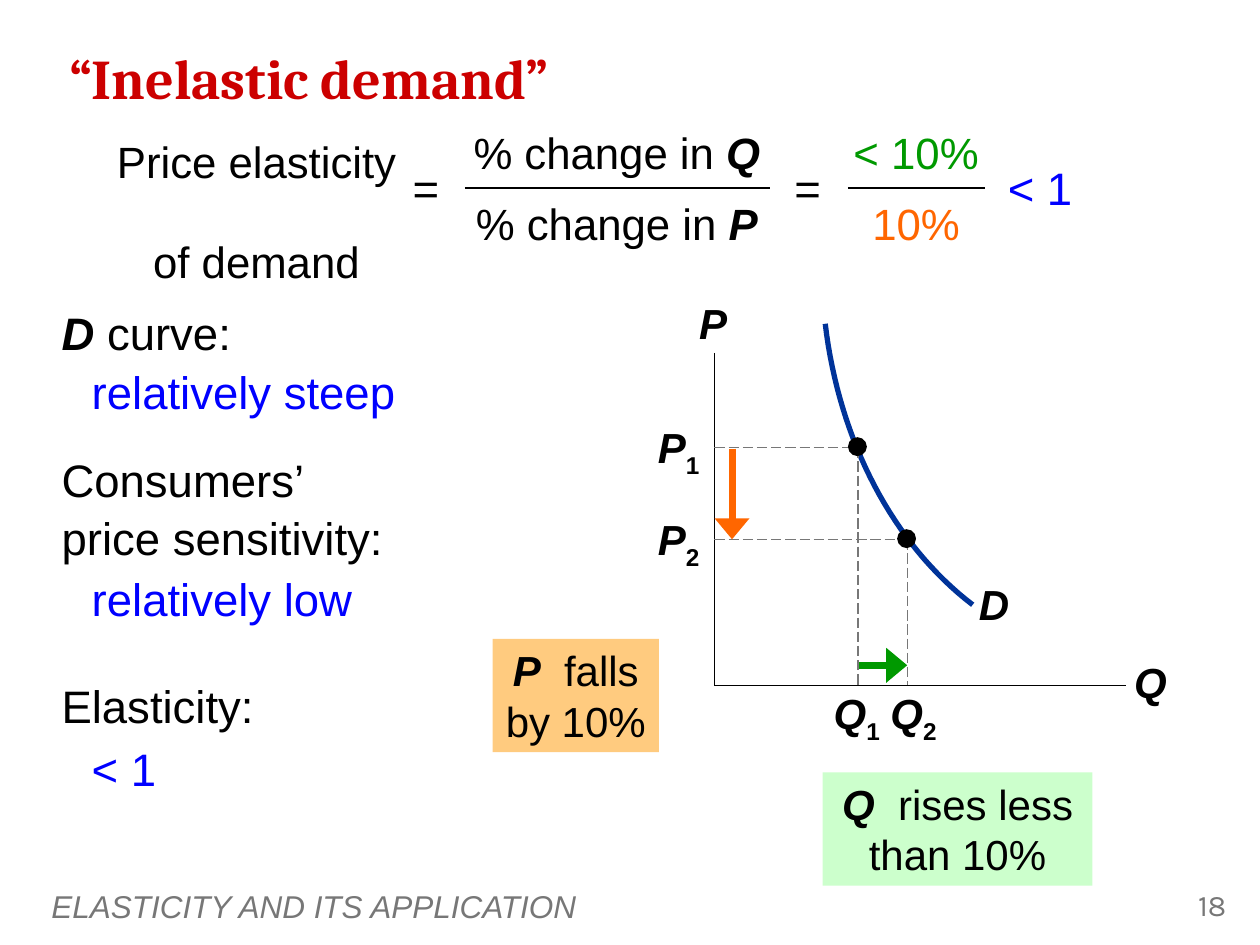
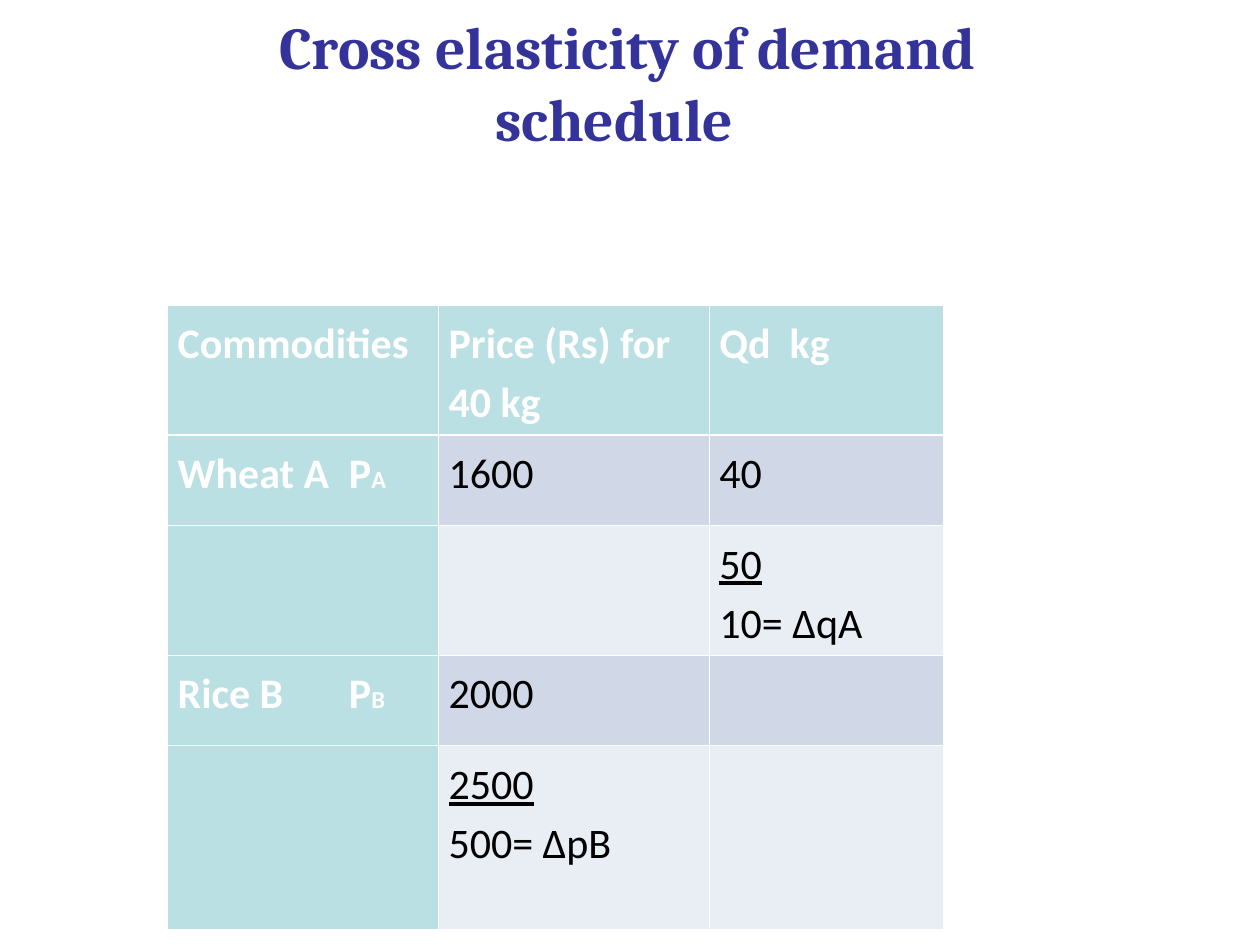
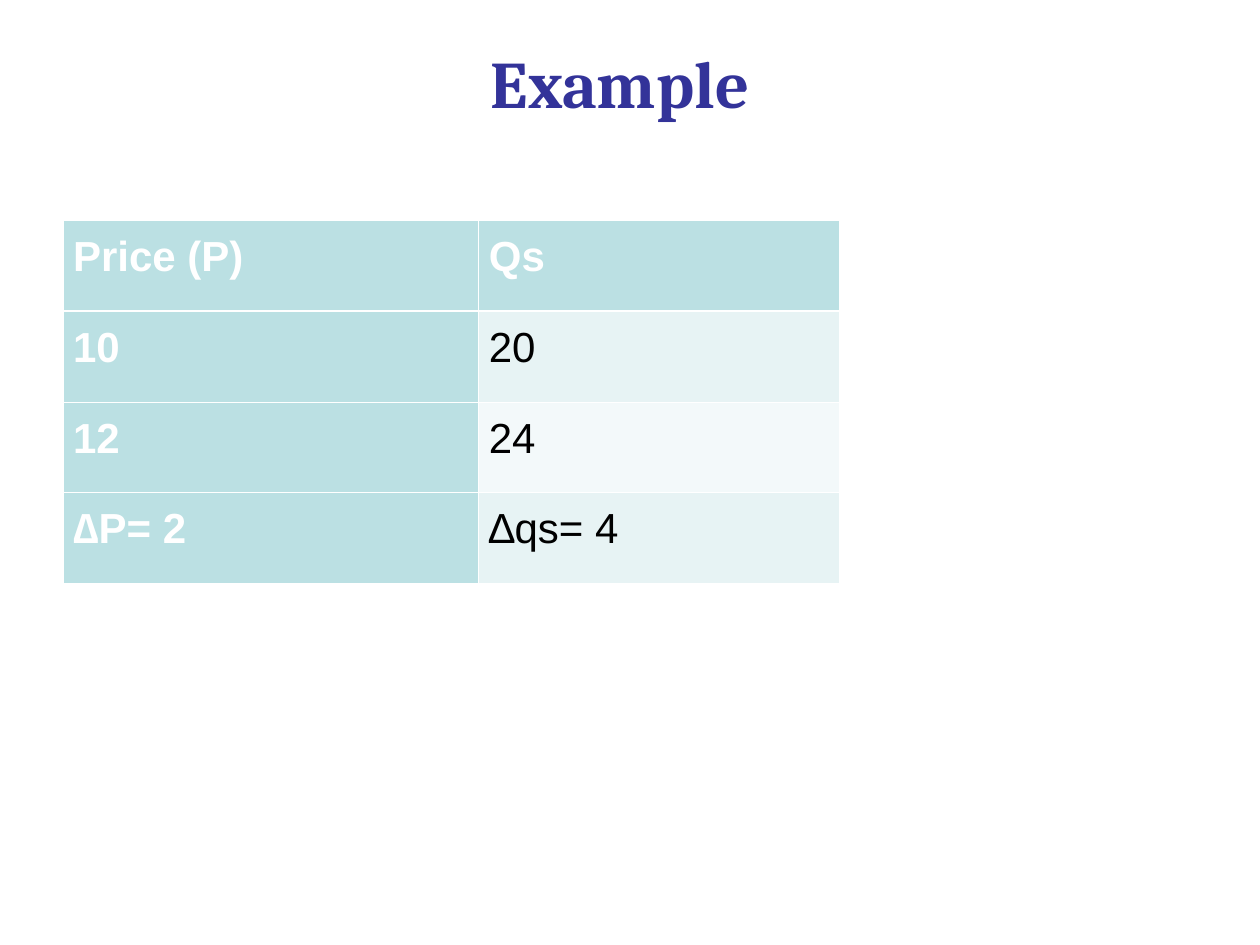
import pptx
import pptx.dml.color
import pptx.enum.dml
import pptx.enum.shapes
import pptx.enum.text
import pptx.oxml
import pptx.oxml.ns
import pptx.util

PX = 9144  # EMU per px, 100 px to the inch
COLORS = {
    "black": "000000", "white": "FFFFFF", "grey": "777777", "red": "CC0000",
    "indigo": "333399", "navy": "003399", "blue": "0000FF", "green": "009900",
    "orange": "FF6600", "amber": "FF9900", "mint": "CCFFCC", "teal": "BBE0E3",
    "lilac": "D0D8E8", "pale lilac": "E9EDF4",
    "pale teal": "E7F3F4", "ice": "F3F9FA",
}
ALIGN = pptx.enum.text.PP_ALIGN
ANCHOR = pptx.enum.text.MSO_ANCHOR
SHAPE = pptx.enum.shapes.MSO_SHAPE
SYMBOL = {"bold": True, "italic": True}
SUBSCRIPT = {"bold": True, "baseline": -25000}


def px(n):
    return pptx.util.Emu(round(n * PX))


def rgb(name):
    return pptx.dml.color.RGBColor.from_string(COLORS[name])


def add_xml(parent, tag, **attrs):
    el = pptx.oxml.parse_xml(f"<{tag} {pptx.oxml.ns.nsdecls('a')}/>")
    for key, value in attrs.items():
        el.set(key, str(value))
    parent.append(el)
    return el


def within(area, x, y, w, h):
    return area[0] + x, area[1] + y, w, h


def write(tf, paragraphs, size, color="black", font="Arial", align=ALIGN.LEFT,
          spacing=None, tab=None):
    """Fill a text frame; each paragraph is a string or a list of (text, format)."""
    for i, runs in enumerate(paragraphs):
        p = tf.add_paragraph() if i else tf.paragraphs[0]
        p.alignment, p.line_spacing = align, spacing
        if tab:
            tabs = add_xml(p._p.get_or_add_pPr(), "a:tabLst")
            add_xml(tabs, "a:tab", pos=px(tab), algn="l")
        for text, fmt in [(runs, {})] if isinstance(runs, str) else runs:
            for j, line in enumerate(text.split("\n")):
                if j:
                    p.add_line_break()
                    add_xml(p._p[-1], "a:rPr", sz=size * 100)
                r = p.add_run()
                r.text = line
                values = {"name": font, "size": size, "bold": False,
                          "italic": False, **fmt}
                values["size"] = pptx.util.Pt(values["size"])
                baseline = values.pop("baseline", None)
                for key, value in values.items():
                    setattr(r.font, key, value)
                r.font.color.rgb = rgb(color)
                if baseline:
                    r._r.get_or_add_rPr().set("baseline", str(baseline))


def add_text(s, box, runs, size, anchor=ANCHOR.TOP, **style):
    tf = s.shapes.add_textbox(*map(px, box)).text_frame
    tf.word_wrap = True
    tf.vertical_anchor = anchor
    write(tf, [runs], size, **style)


def add_filled(s, kind, box, color):
    sp = s.shapes.add_shape(kind, *map(px, box))
    sp.shadow.inherit = False
    sp.fill.solid()
    sp.fill.fore_color.rgb = rgb(color)
    sp.line.fill.background()
    return sp


def add_line(s, area, start, end, color="black", width=1, dash=False, arrow=False):
    x, y = area[:2]
    ends = (x + start[0], y + start[1], x + end[0], y + end[1])
    cn = s.shapes.add_connector(pptx.enum.shapes.MSO_CONNECTOR.STRAIGHT, *map(px, ends))
    cn.line.color.rgb = rgb(color)
    cn.line.width = pptx.util.Pt(width)
    if dash:
        cn.line.dash_style = pptx.enum.dml.MSO_LINE.LONG_DASH
    if arrow:
        add_xml(cn.line._get_or_add_ln(), "a:tailEnd", type="triangle", w="lg", len="med")
    add_xml(cn._element.spPr, "a:effectLst")


def add_title(s, box, text, size, color="indigo", align=ALIGN.CENTER):
    add_text(s, box, [(text, {"bold": True})], size, ANCHOR.MIDDLE,
             color=color, font="Cambria", align=align)


def add_footer(s, area, text, number):
    add_text(s, within(area, 0, 0, 802, 40), [(text, {"italic": True})], 18,
             ANCHOR.MIDDLE, color="grey")
    add_text(s, within(area, 877, 0, 75, 40), number, 17, color="grey",
             font="Karla", align=ALIGN.RIGHT)


def add_fraction(s, box, top, bottom, colors):
    x, y, w, h = box
    for runs, dy, color in zip((top, bottom), (0, 56), colors):
        add_text(s, (x, y + dy, w, 52), runs, 25, color=color, align=ALIGN.CENTER)
    add_line(s, box, (10, h / 2), (w - 9, h / 2))


def add_equation(s, area):
    add_text(s, within(area, 0, 10, 249, 129), "Price elasticity \nof demand", 25,
             align=ALIGN.CENTER, spacing=0.95)
    add_fraction(s, within(area, 280, 0, 261, 108),
                 [("% change in ", {}), ("Q", SYMBOL)],
                 [("% change in ", {}), ("P", SYMBOL)], ("black", "black"))
    add_fraction(s, within(area, 584, 0, 128, 108), "< 10%", "10%", ("green", "orange"))
    for x, w, text, color in ((234, 50, "=", "black"), (537, 50, "=", "black"),
                              (709, 75, "< 1", "blue")):
        add_text(s, within(area, x, 27, w, 54), text, 26, color=color, align=ALIGN.CENTER)


def add_findings(s, area):
    findings = (
        (0, [("D", SYMBOL), (" curve:", {})], 47, "relatively steep"),
        (117, "Consumers’ \nprice sensitivity:", 211, "relatively low"),
        (296, "Elasticity:", 346, "< 1"),
    )
    for head_y, head, answer_y, answer in findings:
        add_text(s, within(area, 0, head_y, 371, 58), head, 26, spacing=1.05)
        add_text(s, within(area, 24, answer_y, 317, 58), answer, 26, color="blue",
                 spacing=1.05)


def add_demand_curve(s, area):
    """Trace a cubic Bezier curve from its lower to its upper end."""
    controls = ((205, 249), (142, 201), (99, 119), (88, 26))
    steps = 32
    points = []
    for i in range(steps + 1):
        t = i / steps
        weights = ((1 - t) ** 3, 3 * t * (1 - t) ** 2, 3 * t * t * (1 - t), t ** 3)
        points.append(tuple(px(area[k] + sum(w * c[k] for w, c in zip(weights, controls)))
                            for k in (0, 1)))
    builder = s.shapes.build_freeform(*points[0], scale=1.0)
    builder.add_line_segments(points[1:], close=False)
    sp = builder.convert_to_shape()
    sp.shadow.inherit = False
    sp.fill.background()
    sp.line.color.rgb = rgb("navy")
    sp.line.width = pptx.util.Pt(3)


def add_graph(s, area):
    """Draw axes, curve and both price points; area starts above the price axis."""
    base = 313
    add_demand_curve(s, area)
    add_line(s, area, (0, 49), (0, base))
    add_line(s, area, (0, base), (327, base))
    for x, y, name in ((-39, 0, "P"), (308, 285, "Q"), (184, 223, "D")):
        add_text(s, within(area, x, y, 76, 50), [(name, SYMBOL)], 24, align=ALIGN.CENTER)
    points = (("1", 114, 124, 113), ("2", 153, 197, 158))
    for index, x, y, label_x in points:
        add_line(s, area, (x, y), (x, base), "grey", 0.75, dash=True)
        add_line(s, area, (0, y), (x, y), "grey", 0.75, dash=True)
        add_filled(s, SHAPE.OVAL, within(area, x - 8, y - 8, 15, 15), "black")
        for name, box, align in (("P", (-68, y - 25, 66, 56), ALIGN.RIGHT),
                                 ("Q", (label_x - 32, 310, 64, 56), ALIGN.CENTER)):
            add_text(s, within(area, *box), [(name, SYMBOL), (index, SUBSCRIPT)], 24,
                     align=align)
    add_line(s, area, (14, 125), (14, 197), "orange", 4, arrow=True)
    add_line(s, area, (115, 297), (153, 297), "green", 4, arrow=True)


def add_callout(s, box, color, symbol, text, opacity=100):
    sp = add_filled(s, SHAPE.RECTANGLE, box, color)
    if opacity < 100:
        clr = sp.fill._xPr.find(".//" + pptx.oxml.ns.qn("a:srgbClr"))
        add_xml(clr, "a:alpha", val=opacity * 1000)
    tf = sp.text_frame
    tf.word_wrap = True
    tf.vertical_anchor = ANCHOR.TOP
    write(tf, [[(symbol, SYMBOL), (text, {})]], 24, align=ALIGN.CENTER)


def add_borders(cell, top, bottom):
    tc_pr = cell._tc.get_or_add_tcPr()
    for side, width in (("L", 0.45), ("R", 0.45), ("T", top), ("B", bottom)):
        ln = add_xml(tc_pr, f"a:ln{side}", w=pptx.util.Pt(width))
        add_xml(add_xml(ln, "a:solidFill"), "a:srgbClr", val=COLORS["white"])


def add_grid(s, left, top, widths, heights, rows, font, bands, tab=None):
    """Add a table with a coloured first row and column and banded body rows."""
    box = (left, top, sum(widths), sum(heights))
    table = s.shapes.add_table(len(rows), len(widths), *map(px, box)).table
    for col, w in zip(table.columns, widths):
        col.width = px(w)
    for i, (row, h) in enumerate(zip(rows, heights)):
        table.rows[i].height = px(h)
        for j, paragraphs in enumerate(row):
            cell = table.cell(i, j)
            heading = i == 0 or j == 0
            cell.margin_left = cell.margin_right = px(8)
            add_borders(cell, 1.47 if i == 1 else 0.45, 1.47 if i == 0 else 0.45)
            cell.fill.solid()
            cell.fill.fore_color.rgb = rgb("teal" if heading else bands[(i - 1) % 2])
            runs = [[(text, {"bold": heading, **fmt}) for text, fmt in p]
                    for p in paragraphs]
            write(cell.text_frame, runs, 24, "white" if heading else "black", font,
                  spacing=1.15, tab=tab if j == 0 else None)


def plain(text):
    return [[(text, {})]]


def commodity(name, index):
    return [[(name + "\tP", {}), (index, {"size": 14})]]


def change(value, difference):
    return [[(value, {"underline": True})], [(difference, {})]]


def inelastic_slide(s):
    add_footer(s, (31, 699), "ELASTICITY AND ITS APPLICATION", "18")
    add_title(s, (45, 27, 912, 68), "“Inelastic demand”", 32, "red", ALIGN.LEFT)
    add_graph(s, (567, 231))
    add_callout(s, (653, 613, 214, 90), "mint", "Q", "  rises less than 10%")
    add_callout(s, (391, 507, 132, 90), "amber", "P", "  falls by 10%", opacity=50)
    add_equation(s, (79, 95))
    add_findings(s, (39, 235))


def table_slide(s, title, size, **grid):
    add_title(s, (38, 28, 920, 74), title, size)
    add_grid(s, **grid)


def main():
    prs = pptx.Presentation()
    prs.slide_width, prs.slide_height = px(1000), px(750)
    slides = [prs.slides.add_slide(prs.slide_layouts[6]) for _ in range(3)]
    inelastic_slide(slides[0])
    table_slide(
        slides[1], "Cross elasticity of demand\nschedule  ", 34,
        left=133, top=242, widths=(215, 215, 186), heights=(103, 72, 103, 72, 146),
        font="Calibri", bands=("lilac", "pale lilac"), tab=136,
        rows=(
            [plain("Commodities"), plain("Price (Rs) for 40 kg"), plain("Qd  kg")],
            [commodity("Wheat A", "A"), plain("1600"), plain("40")],
            [[], [], change("50", "10= ∆qA")],
            [commodity("Rice B", "B"), plain("2000"), []],
            [[], change("2500", "500= ∆pB"), []],
        ))
    table_slide(
        slides[2], "Example ", 38,
        left=50, top=175, widths=(330, 286), heights=(72,) * 4,
        font="Arial", bands=("pale teal", "ice"),
        rows=[[plain(a), plain(b)] for a, b in (
            ("Price (P)", "Qs"), ("10", "20"), ("12", "24"), ("∆P= 2", "∆qs= 4"))])
    prs.save("out.pptx")


if __name__ == "__main__":
    main()
